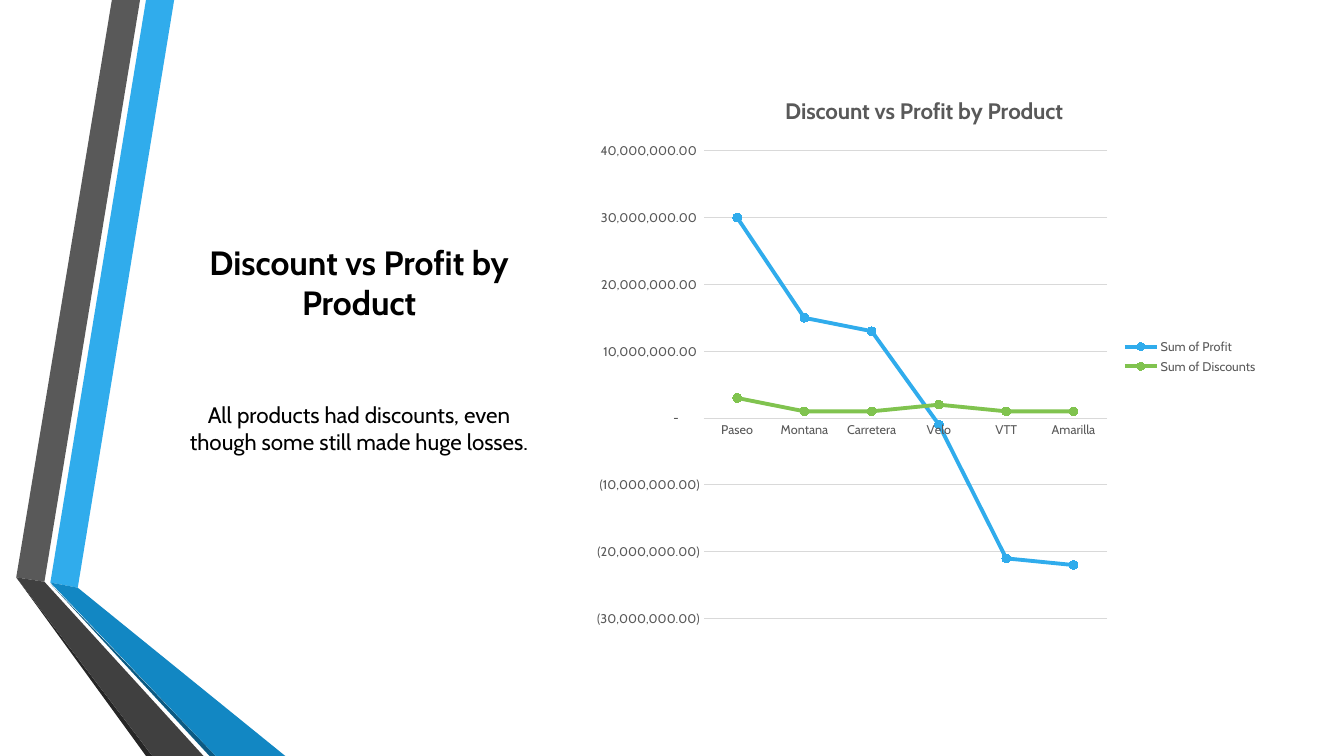
import pptx
import pptx.chart.data
import pptx.dml.color
import pptx.enum.chart
import pptx.enum.text
import pptx.util

Cm = pptx.util.Cm
Pt = pptx.util.Pt

FONT = "Cabin"
TITLE = "Discount vs Profit by Product"
COLORS = {
    "text": "000000",
    "chart_text": "595959",
    "grid": "D9D9D9",
    "blue": "30ACEC",
    "blue_marker": "219CDB",
    "blue_fold": "1287C3",
    "blue_edge": "0C5A82",
    "green": "80C34F",
    "green_marker": "72AF45",
    "gray": "595959",
    "gray_fold": "404040",
    "gray_edge": "262626",
}
BANDS = [
    ("blue", [(1.27, 14.68), (1.96, 14.81), (4.39, 0), (3.68, 0)]),
    ("gray", [(3.53, 0), (2.82, 0), (0.41, 14.55), (1.12, 14.66)]),
    ("gray_edge", [(0.41, 14.55), (3.68, 19.05), (3.84, 19.05)]),
    ("blue_edge", [(1.27, 14.71), (5.28, 19.05), (5.44, 19.05)]),
    ("blue_fold", [(1.27, 14.68), (5.44, 19.05), (7.19, 19.05), (1.96, 14.81)]),
    ("gray_fold", [(5.13, 19.05), (1.12, 14.66), (0.41, 14.55), (3.84, 19.05)]),
]
PRODUCTS = ["Paseo", "Montana", "Carretera", "Velo", "VTT", "Amarilla"]
MILLION = 1000000
SERIES = [
    ("Sum of Profit", "blue", [30, 15, 13, -1, -21, -22]),
    ("Sum of Discounts", "green", [3, 1, 1, 2, 1, 1]),
]
NUMBER_FORMAT = r'_(* #,##0.00_);_(* \(#,##0.00\);_(* "-"??_);_(@_)'


def rgb(name):
    return pptx.dml.color.RGBColor.from_string(COLORS[name])


def style_font(font, size, color, bold=False):
    font.name = FONT
    font.size = Pt(size)
    font.bold = bold
    font.color.rgb = rgb(color)


def add_band(s, color, points):
    pts = [(Cm(x), Cm(y)) for x, y in points]
    builder = s.shapes.build_freeform(*pts[0])
    builder.add_line_segments(pts[1:], close=True)
    sp = builder.convert_to_shape()
    sp.shadow.inherit = False
    sp.fill.solid()
    sp.fill.fore_color.rgb = rgb(color)
    sp.line.fill.background()


def fill_text(sp, text, top, height, size, anchor, bold=False):
    sp.left, sp.top, sp.width, sp.height = Cm(4.12), Cm(top), Cm(9.86), Cm(height)
    tf = sp.text_frame
    tf.text = text
    tf.word_wrap = True
    tf.auto_size = pptx.enum.text.MSO_AUTO_SIZE.NONE
    tf.vertical_anchor = anchor
    p = tf.paragraphs[0]
    p.alignment = pptx.enum.text.PP_ALIGN.CENTER
    p.space_before = Pt(0)
    style_font(p.runs[0].font, size, "text", bold)


def style_axes(chart):
    for axis in (chart.category_axis, chart.value_axis):
        axis.major_tick_mark = pptx.enum.chart.XL_TICK_MARK.NONE
        axis.minor_tick_mark = pptx.enum.chart.XL_TICK_MARK.NONE
        style_font(axis.tick_labels.font, 9, "chart_text")
    axis = chart.value_axis
    axis.minimum_scale, axis.maximum_scale = -30 * MILLION, 40 * MILLION
    axis.major_unit = 10 * MILLION
    axis.tick_labels.number_format = NUMBER_FORMAT
    axis.tick_labels.number_format_is_linked = False
    axis.format.line.fill.background()
    for line in (chart.category_axis.format.line, axis.major_gridlines.format.line):
        line.color.rgb = rgb("grid")
        line.width = Pt(0.75)


def style_series(series, color):
    series.smooth = False
    series.format.line.color.rgb = rgb(color)
    series.format.line.width = Pt(2.75)
    marker = series.marker
    marker.style = pptx.enum.chart.XL_MARKER_STYLE.CIRCLE
    marker.size = 6
    marker.format.fill.solid()
    marker.format.fill.fore_color.rgb = rgb(color + "_marker")
    marker.format.line.color.rgb = rgb(color)


def add_line_chart(s):
    data = pptx.chart.data.CategoryChartData()
    data.categories = PRODUCTS
    for name, _, millions in SERIES:
        data.add_series(name, [v * MILLION for v in millions])
    chart = s.shapes.add_chart(
        pptx.enum.chart.XL_CHART_TYPE.LINE_MARKERS,
        Cm(14.63), Cm(1.9), Cm(17.32), Cm(14.17), data).chart
    style_font(chart.font, 10, "text")
    chart.has_title = True
    tf = chart.chart_title.text_frame
    tf.text = TITLE
    style_font(tf.paragraphs[0].runs[0].font, 16, "chart_text", True)
    chart.has_legend = True
    chart.legend.position = pptx.enum.chart.XL_LEGEND_POSITION.RIGHT
    chart.legend.include_in_layout = False
    style_font(chart.legend.font, 9, "chart_text")
    chart.plots[0].vary_by_categories = False
    style_axes(chart)
    for series, (_, color, _) in zip(chart.plots[0].series, SERIES):
        style_series(series, color)


def main():
    prs = pptx.Presentation()
    prs.slide_width, prs.slide_height = Cm(33.87), Cm(19.05)
    s = prs.slides.add_slide(prs.slide_layouts[5])
    for color, points in BANDS:
        add_band(s, color, points)
    anchors = pptx.enum.text.MSO_ANCHOR
    fill_text(s.shapes.title, TITLE, 4.44, 3.81, 24, anchors.BOTTOM, True)
    add_line_chart(s)
    body = s.shapes.add_textbox(0, 0, 0, 0)
    fill_text(body, "All products had discounts, even though some still made huge losses.",
              8.25, 5.08, 16, anchors.MIDDLE)
    prs.save("out.pptx")


if __name__ == "__main__":
    main()
